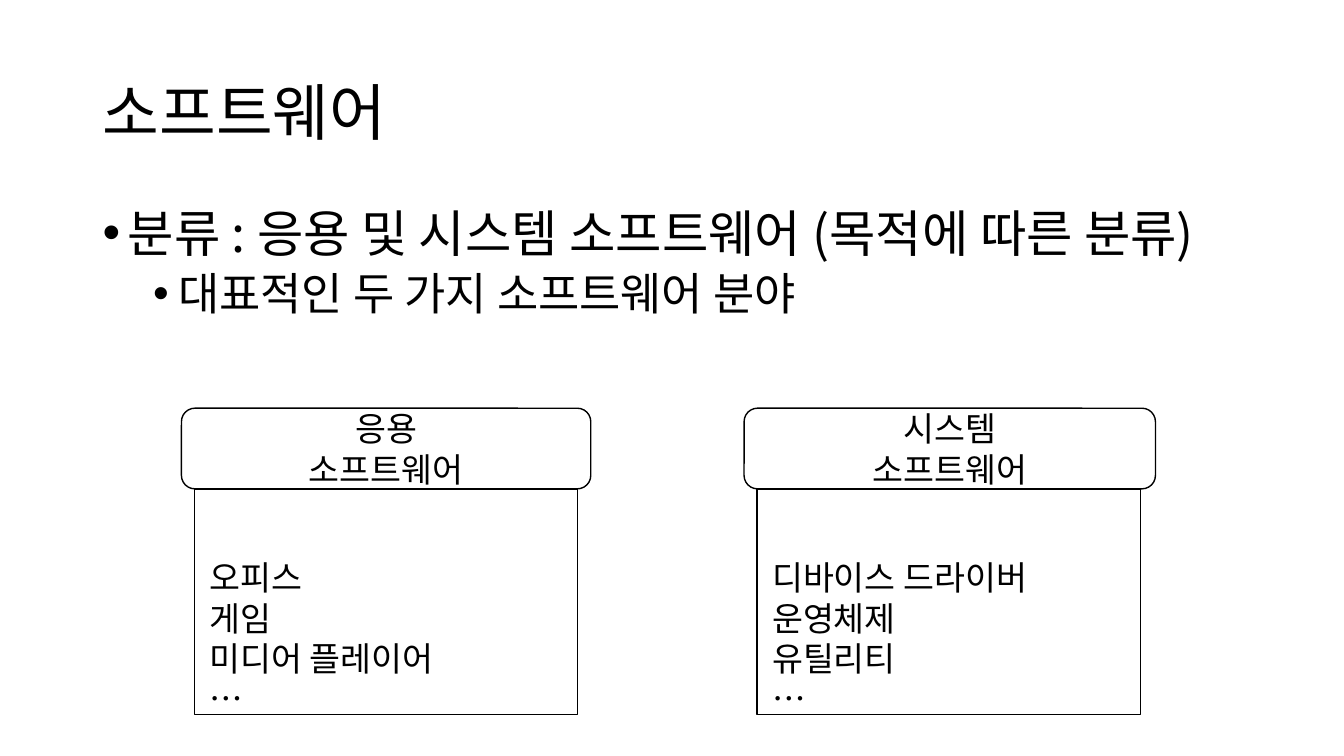
import pptx
import pptx.dml.color
import pptx.enum.shapes
import pptx.enum.text
import pptx.oxml
import pptx.oxml.ns
import pptx.util
from lxml import etree

Inches = pptx.util.Inches
Pt = pptx.util.Pt
SHAPES = pptx.enum.shapes.MSO_SHAPE
ANCHORS = pptx.enum.text.MSO_ANCHOR
ALIGNS = pptx.enum.text.PP_ALIGN


def color(value):
    return pptx.dml.color.RGBColor.from_string(value)


def write(frame, text, size=24, pitch=28.8, font="Noto Sans CJK KR", ink="000000",
          align=ALIGNS.LEFT, before=0, level=None, first=True):
    for index, line in enumerate(text.split("\n")):
        paragraph = frame.paragraphs[0] if first and index == 0 else frame.add_paragraph()
        paragraph.alignment = align
        paragraph.line_spacing = Pt(pitch)
        paragraph.space_before = Pt(before)
        run = paragraph.add_run()
        run.text = line
        run.font.size = Pt(size)
        run.font.name = font
        run.font.color.rgb = color(ink)
        east_asian = etree.SubElement(run.font._element, pptx.oxml.ns.qn("a:ea"))
        east_asian.set("typeface", font)
        if level is not None:
            paragraph.level = level
            properties = paragraph._p.get_or_add_pPr()
            properties.set("marL", str(Inches(0.25 + 0.5 * level)))
            properties.set("indent", str(Inches(-0.25)))
            bullet_font = etree.SubElement(properties, pptx.oxml.ns.qn("a:buFont"))
            bullet_font.set("typeface", "Arial")
            bullet = etree.SubElement(properties, pptx.oxml.ns.qn("a:buChar"))
            bullet.set("char", "•")


class Deck:
    """Holds the style and the current slide."""

    def __init__(self, slide, outline="000000", paper="FFFFFF"):
        self.slide = slide
        self.outline = outline
        self.paper = paper

    def text(self, left, top, width, height, anchor=ANCHORS.TOP):
        box = self.slide.shapes.add_textbox(
            Inches(left), Inches(top), Inches(width), Inches(height))
        box.text_frame.word_wrap = True
        box.text_frame.vertical_anchor = anchor
        return box.text_frame

    def shape(self, kind, left, top, width, height, filled=True):
        panel = self.slide.shapes.add_shape(
            kind, Inches(left), Inches(top), Inches(width), Inches(height))
        panel.shadow.inherit = False
        if filled:
            panel.fill.solid()
            panel.fill.fore_color.rgb = color(self.paper)
        else:
            panel.fill.background()
        panel.line.color.rgb = color(self.outline)
        panel.line.width = Pt(1)
        panel.text_frame.word_wrap = True
        panel.text_frame.vertical_anchor = ANCHORS.MIDDLE
        return panel.text_frame

    def category(self, left, width, heading, examples):
        label = self.shape(SHAPES.ROUNDED_RECTANGLE, left, 4.05, width, 0.8)
        write(label, heading, align=ALIGNS.CENTER)
        write(self.text(left + 0.18, 5.48, 3.76, 1.72), examples)
        self.shape(SHAPES.RECTANGLE, left + 0.13, 4.85, 3.8, 2.24, filled=False)


presentation = pptx.Presentation()
presentation.slide_width = Inches(13.33)
presentation.slide_height = Inches(7.5)
deck = Deck(presentation.slides.add_slide(presentation.slide_layouts[6]))

title = deck.text(0.92, 0.4, 11.5, 1.45, anchor=ANCHORS.MIDDLE)
write(title, "소프트웨어", size=44, pitch=49)

classification = deck.text(0.92, 2, 11.5, 4.76)
write(classification, "분류 : 응용 및 시스템 소프트웨어 (목적에 따른 분류)",
      size=36, pitch=40, before=10, level=0)
write(classification, "대표적인 두 가지 소프트웨어 분야",
      size=32, pitch=36, before=5, level=1, first=False)

CATEGORIES = [
    (1.8, 4.06, "응용\n소프트웨어", "오피스\n게임\n미디어 플레이어\n…"),
    (7.38, 4.08, "시스템\n소프트웨어", "디바이스 드라이버\n운영체제\n유틸리티\n…"),
]
for category in CATEGORIES:
    deck.category(*category)

presentation.save("out.pptx")
